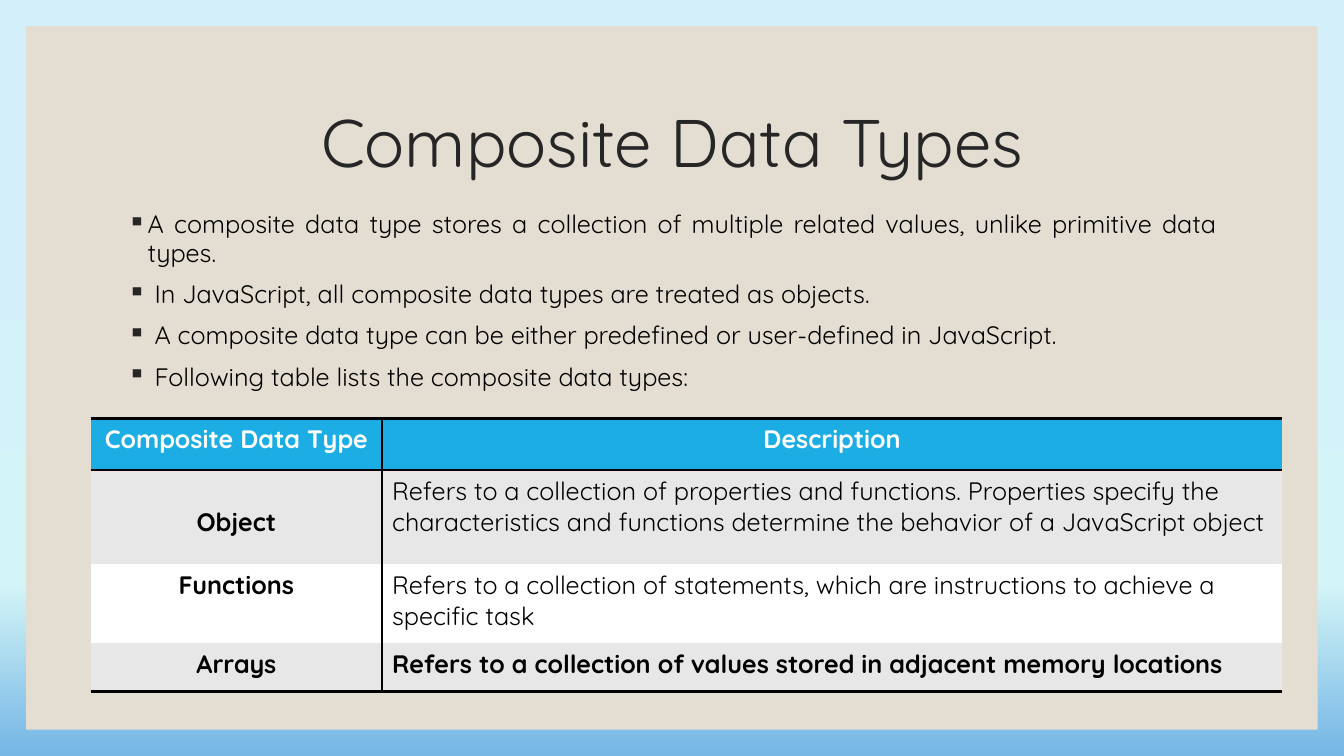
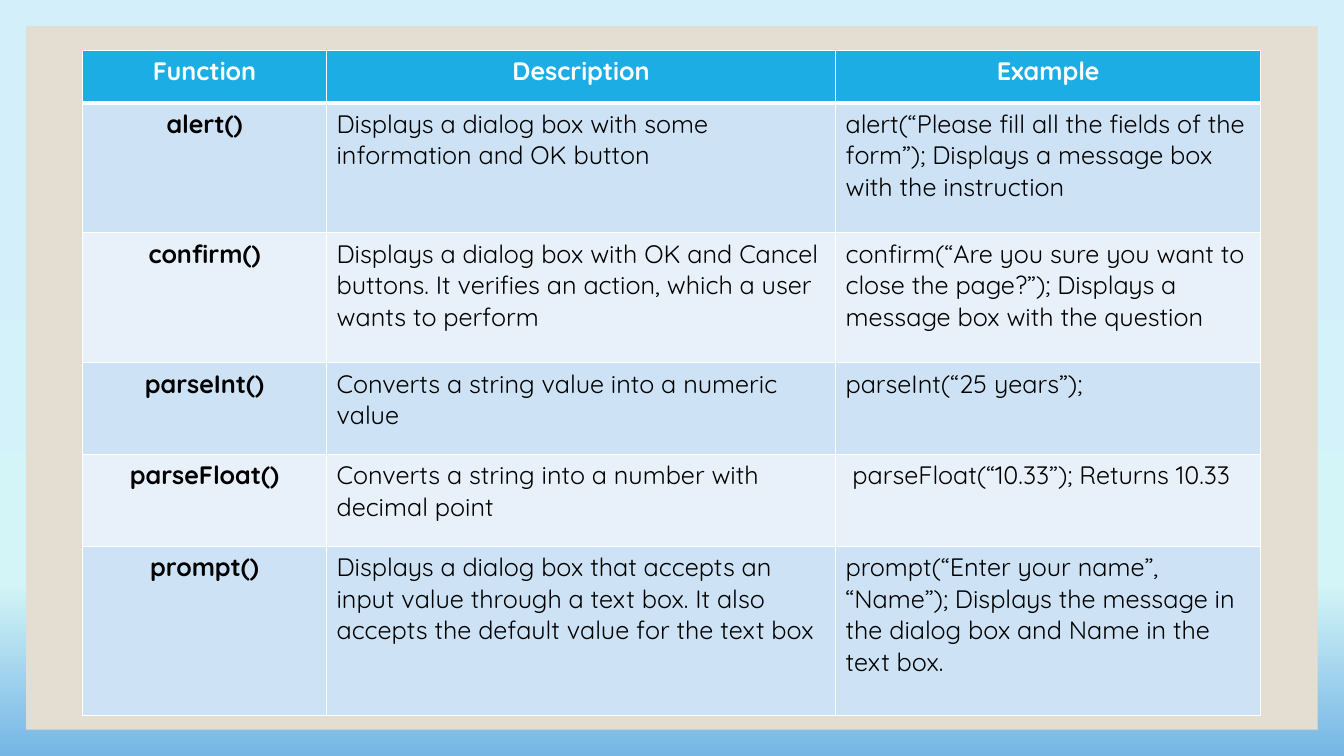
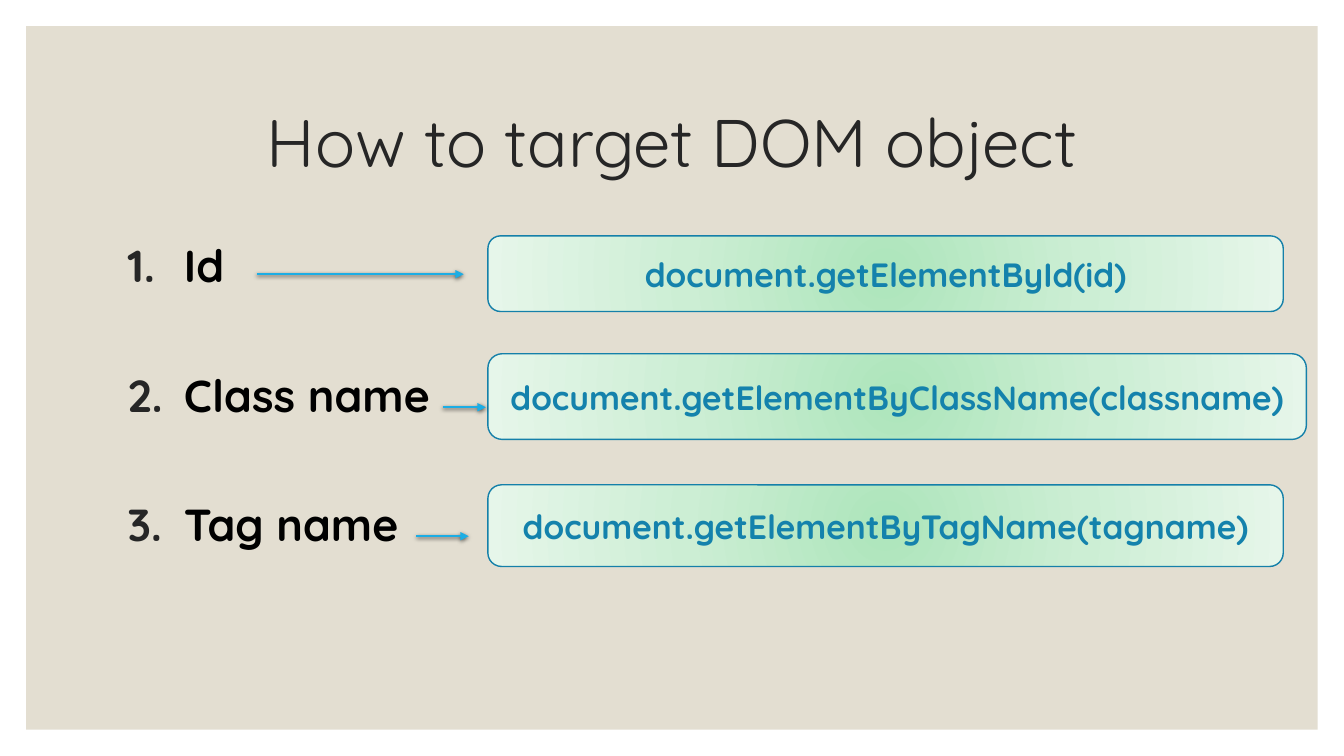
from pptx import Presentation
from pptx.dml.color import RGBColor
from pptx.enum.shapes import MSO_CONNECTOR, MSO_SHAPE
from pptx.enum.text import MSO_ANCHOR, PP_ALIGN
from pptx.oxml import parse_xml
from pptx.oxml.ns import nsdecls, qn
from pptx.util import Inches, Pt

# Shared look
FONT = "Quicksand"
SAND = RGBColor(0xE3, 0xDE, 0xD1)
INK = RGBColor(0x26, 0x26, 0x26)
BLACK = RGBColor(0, 0, 0)
WHITE = RGBColor(0xFF, 0xFF, 0xFF)
BLUE = RGBColor(0x1C, 0xAD, 0xE4)
EDGE = RGBColor(0x15, 0x80, 0xA9)
CODE = RGBColor(0x14, 0x82, 0xAC)
GRAY = RGBColor(0xE7, 0xE7, 0xE7)
PALE = RGBColor(0xE8, 0xF1, 0xFA)
SKY = RGBColor(0xCD, 0xE3, 0xF5)
ICE = RGBColor(0xD2, 0xEF, 0xFA)
AQUA = RGBColor(0xD4, 0xF5, 0xF7)
SEA = RGBColor(0x75, 0xB6, 0xE5)
MINT = RGBColor(0xAD, 0xE5, 0xBB)
LEAF = RGBColor(0xCC, 0xEE, 0xD4)
MIST = RGBColor(0xE6, 0xF6, 0xEA)

DAWN = ((0, ICE), (25, ICE), (77, AQUA), (100, SEA))
GLOW = ((0, MINT), (50, LEAF), (100, MIST))
DOWN = '<a:lin ang="5400000" scaled="0"/>'
ROUND = ('<a:path path="circle"><a:fillToRect l="50000" t="50000" '
         'r="50000" b="50000"/></a:path>')
PLAIN = "{2D5ABB26-0587-4C30-8999-92F81FD0307C}"

# Boxes, in percent of the slide: left, top, width, height
FRAME = (1.95, 3.47, 96.1, 93.06)
TITLE = (8.75, 9.33, 82.5, 20)
POINTS = (8.75, 27.2, 82.5, 27)
LABELS = (8.75, 31.33, 27, 57.33)
TYPES = (6.75, 55.33, 88.65, 36.13)
CALLS = (6.15, 6.67, 87.67, 88)

deck = Presentation()
deck.slide_width, deck.slide_height = Inches(13.33), Inches(7.5)


def place(*shares):
    """Turn percents, across and down in turn, into lengths."""
    sides = (deck.slide_width, deck.slide_height)
    return [int(sides[i % 2] * s / 100) for i, s in enumerate(shares)]


def make(tag, inner="", **attrs):
    pairs = "".join(f' {key}="{val}"' for key, val in attrs.items())
    return parse_xml(f'<a:{tag} {nsdecls("a")}{pairs}>{inner}</a:{tag}>')


def blend(fill, node, stops, shade):
    """Swap the fill of a node for a gradient."""
    fill.solid()
    old = node.find(".//" + qn("a:solidFill"))
    marks = "".join(f'<a:gs pos="{pos * 1000}"><a:srgbClr val="{tone}"/></a:gs>'
                    for pos, tone in stops)
    old.getparent().replace(
        old, make("gradFill", f"<a:gsLst>{marks}</a:gsLst>{shade}", rotWithShape=1))


def write(para, text, size, tone, bold=False, align=None):
    run = para.add_run()
    run.text = text
    run.font.name, run.font.size = FONT, Pt(size)
    run.font.bold, run.font.color.rgb = bold, tone
    para.alignment = align


def text_box(slide, box):
    frame = slide.shapes.add_textbox(*place(*box)).text_frame
    frame.word_wrap = True
    return frame


def start(title=None, stops=None):
    """New slide with backdrop, sand panel and title."""
    slide = deck.slides.add_slide(deck.slide_layouts[6])
    if stops:
        back = slide.background
        blend(back.fill, back.element, stops, DOWN)
    panel = slide.shapes.add_shape(MSO_SHAPE.RECTANGLE, *place(*FRAME))
    panel.shadow.inherit = False
    panel.fill.solid()
    panel.fill.fore_color.rgb = SAND
    panel.line.fill.background()
    if title:
        frame = text_box(slide, TITLE)
        frame.vertical_anchor = MSO_ANCHOR.MIDDLE
        para = frame.paragraphs[0]
        para.line_spacing = 0.9
        write(para, title, 48, INK, align=PP_ALIGN.CENTER)
    return slide


def add_list(slide, box, items, mark, size, gap, dent, bold=False, align=None):
    """List with hanging marks; mark is a tag and its attributes."""
    frame = text_box(slide, box)
    for i, item in enumerate(items):
        para = frame.add_paragraph() if i else frame.paragraphs[0]
        write(para, item, size, BLACK, bold, align)
        para.line_spacing = 0.95
        para.space_before = Pt(gap if i else 0)
        props = para._p.get_or_add_pPr()
        props.set("marL", str(Inches(dent)))
        props.set("indent", str(-Inches(dent)))
        props.append(make("buClr", f'<a:srgbClr val="{INK}"/>'))
        props.append(make(mark[0], **mark[1]))


def rule(cell, side, width, tone):
    inner = f'<a:solidFill><a:srgbClr val="{tone}"/></a:solidFill>' if width else "<a:noFill/>"
    cell._tc.get_or_add_tcPr().append(make("ln" + side, inner, w=Pt(width)))


def add_grid(slide, box, cols, rows, data, bands, tone, across, down, strong=()):
    """Table; cols and rows are weights, across and down are line widths."""
    left, top, width, height = place(*box)
    frame = slide.shapes.add_table(len(rows), len(cols), left, top, width, height)
    frame.element.find(".//" + qn("a:tableStyleId")).text = PLAIN
    table = frame.table
    for col, part in zip(table.columns, cols):
        col.width = int(width * part / sum(cols))
    for row, part in zip(table.rows, rows):
        row.height = int(height * part / sum(rows))
    for r, texts in enumerate(data):
        for c, text in enumerate(texts):
            cell = table.cell(r, c)
            for side, size in zip("LRTB", (*down[c:c + 2], *across[r:r + 2])):
                rule(cell, side, size, tone)
            cell.fill.solid()
            cell.fill.fore_color.rgb = bands[(r - 1) % 2] if r else BLUE
            head = r == 0 or c == 0
            write(cell.text_frame.paragraphs[0], text, 18, BLACK if r else WHITE,
                  head or r in strong, PP_ALIGN.CENTER if head else None)
    return table


def add_call(slide, box, text):
    """Rounded box with one line of code."""
    card = slide.shapes.add_shape(MSO_SHAPE.ROUNDED_RECTANGLE, *place(*box))
    card.shadow.inherit = False
    blend(card.fill, card.element, GLOW, ROUND)
    card.line.color.rgb, card.line.width = EDGE, Pt(1)
    frame = card.text_frame
    frame.word_wrap = True
    frame.vertical_anchor = MSO_ANCHOR.MIDDLE
    write(frame.paragraphs[0], text, 24, CODE, True, PP_ALIGN.CENTER)


def add_arrow(slide, left, right, level):
    arrow = slide.shapes.add_connector(MSO_CONNECTOR.STRAIGHT,
                                       *place(left, level, right, level))
    arrow.line.color.rgb, arrow.line.width = BLUE, Pt(1.5)
    arrow.line._get_or_add_ln().append(make("tailEnd", type="triangle"))
    shade = (f'<a:outerShdw blurRad="{Pt(3)}" dist="{Pt(1)}" dir="5400000">'
             '<a:srgbClr val="000000"><a:alpha val="63000"/></a:srgbClr></a:outerShdw>')
    arrow.element.spPr.append(make("effectLst", shade))


def type_slide():
    slide = start("Composite Data Types", DAWN)
    add_list(slide, POINTS, (
        "A composite data type stores a collection of multiple related values, "
        "unlike primitive data types.",
        " In JavaScript, all composite data types are treated as objects.",
        " A composite data type can be either predefined or user-defined in JavaScript.",
        " Following table lists the composite data types:",
    ), ("buChar", {"char": "▪"}), 18, 9, 0.2, align=PP_ALIGN.JUSTIFY)
    table = add_grid(slide, TYPES, (289, 893), (51, 93, 78, 48), (
        ("Composite Data Type", "Description"),
        ("Object", "Refers to a collection of properties and functions. Properties specify "
         "the characteristics and functions determine the behavior of a JavaScript object"),
        ("Functions", "Refers to a collection of statements, which are instructions to "
         "achieve a specific task"),
        ("Arrays", "Refers to a collection of values stored in adjacent memory locations"),
    ), (GRAY, WHITE), BLACK, (2, 2, 0, 0, 2), (0, 1, 0), strong=(3,))
    table.cell(1, 0).margin_top = Pt(26)  # sits level with the second line


def call_slide():
    slide = start(stops=DAWN)
    add_grid(slide, CALLS, (242, 505, 422), (52, 129, 129, 91, 91, 168), (
        ("Function", "Description", "Example"),
        ("alert()", "Displays a dialog box with some information and OK button",
         "alert(“Please fill all the fields of the form”); Displays a message box "
         "with the instruction"),
        ("confirm()", "Displays a dialog box with OK and Cancel buttons. It verifies an "
         "action, which a user wants to perform",
         "confirm(“Are you sure you want to close the page?”); Displays a message box "
         "with the question"),
        ("parseInt()", "Converts a string value into a numeric value",
         "parseInt(“25 years”);"),
        ("parseFloat()", "Converts a string into a number with decimal point",
         " parseFloat(“10.33”); Returns 10.33"),
        ("prompt()", "Displays a dialog box that accepts an input value through a text "
         "box. It also accepts the default value for the text box",
         "prompt(“Enter your name”, “Name”); Displays the message in the dialog box "
         "and Name in the text box."),
    ), (SKY, PALE), WHITE, (1, 3, 1, 1, 1, 1, 1), (1, 1, 1, 1))


def target_slide():
    slide = start("How to target DOM object")
    add_list(slide, LABELS, ("Id", "Class name", "Tag name"),
             ("buAutoNum", {"type": "arabicPeriod"}), 32, 56, 0.56, bold=True)
    # Code, then top, width and height of its box, then ends and level of its arrow
    for text, top, width, height, *arrow in (
        ("document.getElementById(id)", 31.2, 59.18, 10, 19.13, 34.5, 36.27),
        ("document.getElementByClassName(classname)", 46.8, 60.9, 11.33,
         32.93, 36.15, 53.87),
        ("document.getElementByTagName(tagname)", 64.13, 59.18, 10.8,
         30.98, 34.88, 70.93),
    ):
        add_call(slide, (36.3, top, width, height), text)
        add_arrow(slide, *arrow)


def main():
    type_slide()
    call_slide()
    target_slide()
    deck.save("out.pptx")


if __name__ == "__main__":
    main()
